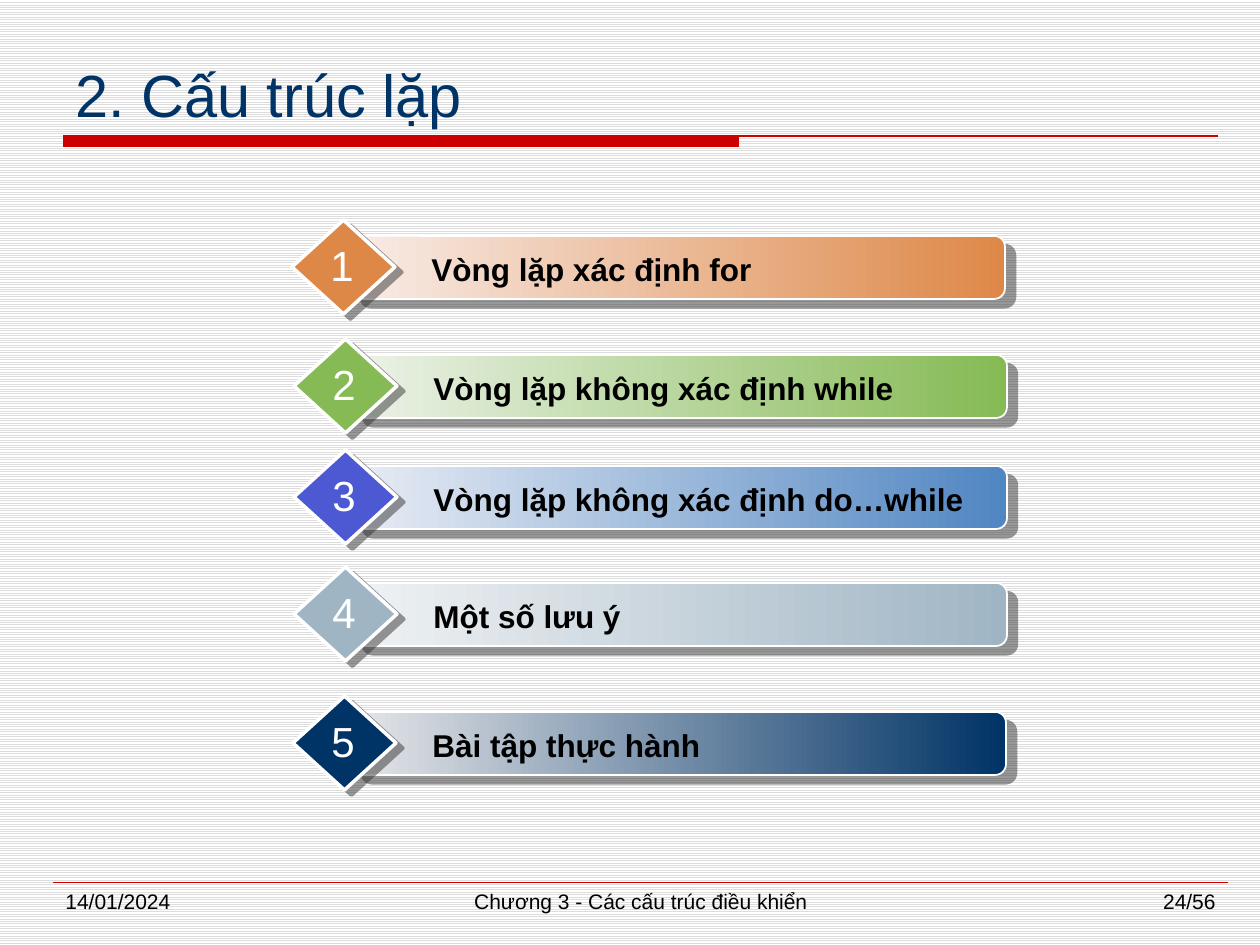
from lxml.etree import SubElement
from pptx import Presentation
from pptx.dml.color import RGBColor
from pptx.enum.dml import MSO_PATTERN as Pattern
from pptx.enum.shapes import MSO_CONNECTOR as Connector, MSO_SHAPE as Preset
from pptx.enum.text import MSO_ANCHOR as Anchor, MSO_AUTO_SIZE as AutoSize, PP_ALIGN as Align
from pptx.oxml.ns import qn
from pptx.util import Emu, Pt

EMU_PER_PX = 914400 / 126
FONT = "Arial"
RED, NAVY, WHITE, BLACK = "CC0000", "003366", "FFFFFF", "000000"
TOPICS = [
    ("Vòng lặp xác định for", 292, 236, "DE8848", "F8ECE7", "DE8848"),
    ("Vòng lặp không xác định while", 294, 355, "85BA54", "ECF2E8", "85BA54"),
    ("Vòng lặp không xác định do…while", 294, 466, "4C59D2", "E8ECF4", "5086C2"),
    ("Một số lưu ý", 294, 583, "A0B5C4", "EFF2F4", "A0B5C4"),
    ("Bài tập thực hành", 293, 712, NAVY, "E6E7E9", NAVY),
]
FOOTERS = [
    ("14/01/2024", 53, 273, Align.LEFT),
    ("Chương 3 - Các cấu trúc điều khiển", 368, 546, Align.CENTER),
    ("24/56", 955, 273, Align.RIGHT),
]


def px(*lengths):
    """Turn pixel lengths into EMU."""
    return [Emu(round(length * EMU_PER_PX)) for length in lengths]


def color(code):
    """Turn a hex string into a colour."""
    return RGBColor.from_string(code)


def apply(target, values):
    """Set each named attribute of the target."""
    for name, value in values.items():
        setattr(target, name, value)


def add_text(shapes, text, place, size, code, align=Align.LEFT, bold=False, **frame):
    """Add a one-paragraph text box."""
    box = shapes.add_textbox(*px(*place))
    apply(box.text_frame, {"word_wrap": True, "vertical_anchor": Anchor.TOP} | frame)
    para = box.text_frame.paragraphs[0]
    para.alignment = align
    span = para.add_run()
    span.text = text
    apply(span.font, {"name": FONT, "size": Pt(size), "bold": bold})
    span.font.color.rgb = color(code)


def add_line(shapes, left, right, y, width):
    """Add a horizontal red rule without a shadow."""
    line = shapes.add_connector(Connector.STRAIGHT, *px(left, y, right, y))
    line.line.color.rgb = color(RED)
    line.line.width = Pt(width)
    SubElement(line._element.spPr, qn("a:effectLst"))


def add_shape(shapes, preset, place):
    """Add a preset shape without a shadow."""
    shape = shapes.add_shape(preset, *px(*place))
    shape.shadow.inherit = False
    return shape


def fill_solid(shape, code):
    """Fill a shape with one colour."""
    shape.fill.solid()
    shape.fill.fore_color.rgb = color(code)


def fill_gradient(shape, *codes):
    """Fill a shape with a left-to-right gradient."""
    shape.fill.gradient()
    shape.fill.gradient_angle = 0
    for stop, code, position in zip(shape.fill.gradient_stops, codes, (0, 1)):
        stop.color.rgb = color(code)
        stop.position = position


def add_edge(shape, width, distance, angle):
    """Give a shape a white outline and a hard offset shadow."""
    shape.line.color.rgb = color(WHITE)
    shape.line.width = Pt(width)
    effects = shape._element.spPr.find(qn("a:effectLst"))
    shadow = SubElement(effects, qn("a:outerShdw"), blurRad="0", dist=str(Pt(distance)),
                        dir=str(angle * 60000), algn="ctr", rotWithShape="0")
    shade = SubElement(shadow, qn("a:srgbClr"), val="333333")
    SubElement(shade, qn("a:alpha"), val="50000")


def add_topic(page, number, title, left, top, accent, start, end):
    """Add a numbered diamond with its gradient bar and title."""
    shapes = page.shapes.add_group_shape().shapes
    bar = add_shape(shapes, Preset.ROUNDED_RECTANGLE, (left + 58, top, 655, 63))
    bar.adjustments[0] = 0.17
    fill_gradient(bar, start, end)
    add_edge(bar, 1, 7.8, 40)
    diamond = add_shape(shapes, Preset.DIAMOND, (left, top - 16, 103, 94))
    fill_solid(diamond, accent)
    add_edge(diamond, 2, 5, 37)
    grow = {"auto_size": AutoSize.SHAPE_TO_FIT_TEXT}
    add_text(shapes, title, (left + 127, top + 8, 587, 50), 18, BLACK, bold=True, **grow)
    add_text(shapes, str(number), (left + 25, top - 3, 50, 64), 24, WHITE,
             Align.CENTER, word_wrap=False, **grow)


def add_header(page):
    """Add the title over its thick and thin red rule."""
    band = add_shape(page.shapes, Preset.RECTANGLE, (63, 136, 676, 11))
    fill_solid(band, RED)
    band.line.fill.background()
    add_line(page.shapes, 63, 1218, 136, 1.5)
    add_text(page.shapes, "2. Cấu trúc lặp", (63, 42, 1155, 94), 34, NAVY,
             vertical_anchor=Anchor.BOTTOM)


def add_footer(page):
    """Add the footer rule and its three texts."""
    add_line(page.shapes, 53, 1228, 882, 0.25)
    for text, left, width, align in FOOTERS:
        add_text(page.shapes, text, (left, 882, width, 44), 12, BLACK, align)


def main():
    """Build the slide and save it."""
    deck = Presentation()
    deck.slide_width, deck.slide_height = px(1260, 945)
    page = deck.slides.add_slide(deck.slide_layouts[6])
    backdrop = page.background.fill
    backdrop.patterned()
    backdrop.pattern = Pattern.LIGHT_HORIZONTAL
    backdrop.fore_color.rgb = color("DDDDDD")
    backdrop.back_color.rgb = color(WHITE)
    add_header(page)
    for number, topic in enumerate(TOPICS, 1):
        add_topic(page, number, *topic)
    add_footer(page)
    deck.save("out.pptx")


if __name__ == "__main__":
    main()
